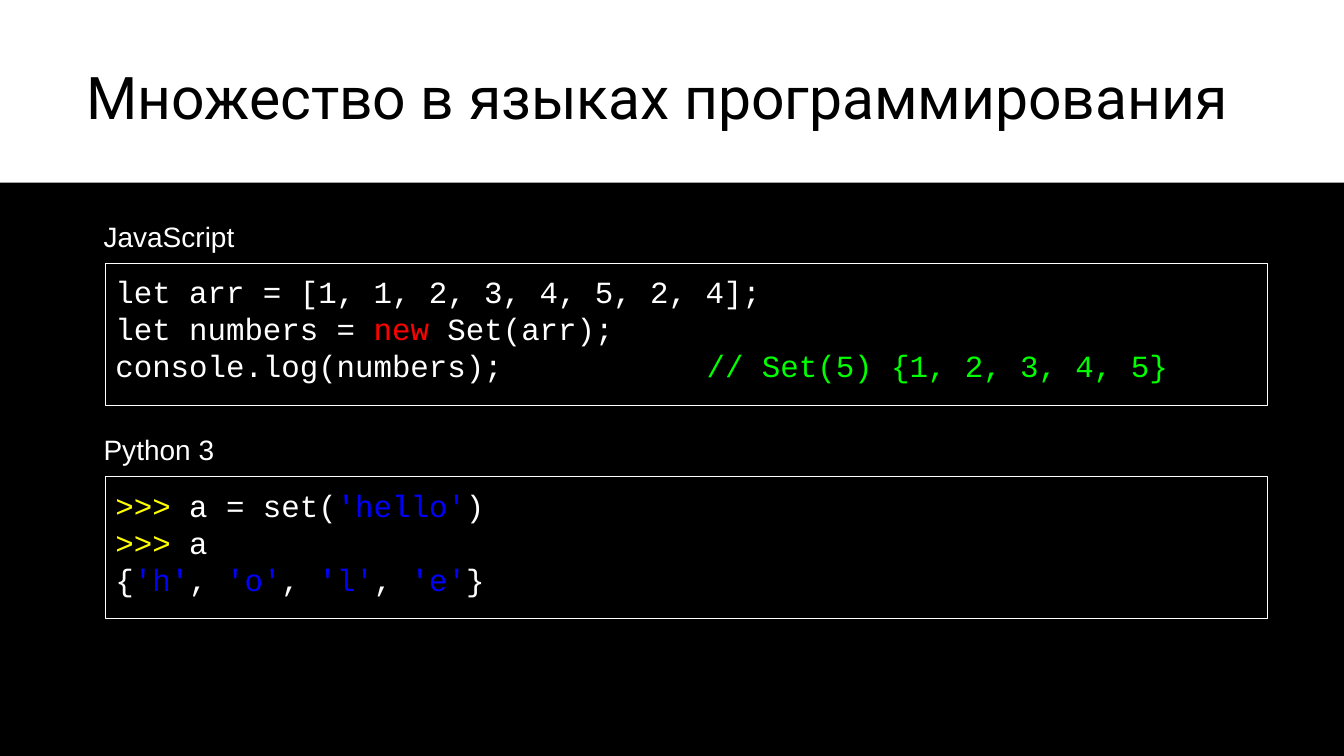
from dataclasses import dataclass
from pptx import Presentation
from pptx.dml.color import RGBColor
from pptx.enum.shapes import MSO_SHAPE
from pptx.enum.text import MSO_ANCHOR, PP_ALIGN
from pptx.oxml import parse_xml
from pptx.oxml.ns import nsdecls
from pptx.util import Cm, Pt

RECT = MSO_SHAPE.RECTANGLE
TOP, BOTTOM = MSO_ANCHOR.TOP, MSO_ANCHOR.BOTTOM
LEFT = PP_ALIGN.LEFT


@dataclass(frozen=True)
class Theme:
    title_font: str = "Roboto"
    label_font: str = "Arial"
    code_font: str = "Courier New"
    title_size: int = 42
    label_size: int = 20
    code_size: int = 22
    black: str = "000000"
    white: str = "FFFFFF"
    keyword: str = "FF0000"
    comment: str = "00FF00"
    prompt: str = "FFFF00"
    string: str = "0000FF"


T = Theme()

# Each line of code is a list of (text, colour) runs
JS_CODE = [
    [("let arr = [1, 1, 2, 3, 4, 5, 2, 4];", T.white)],
    [("let numbers = ", T.white), ("new", T.keyword), (" Set(arr);", T.white)],
    [("console.log(numbers);\t", T.white), ("// Set(5) {1, 2, 3, 4, 5}", T.comment)],
]
PYTHON_CODE = [
    [(">>>", T.prompt), (" a = set(", T.white), ("'hello'", T.string), (")", T.white)],
    [(">>>", T.prompt), (" a", T.white)],
    [("{", T.white), ("'h'", T.string), (", ", T.white), ("'o'", T.string),
     (", ", T.white), ("'l'", T.string), (", ", T.white), ("'e'", T.string),
     ("}", T.white)],
]


def add_text(sp, lines, font, size, inset=0.25, anchor=TOP):
    """Write lines of coloured runs into a shape."""
    tf = sp.text_frame
    tf.word_wrap = True
    tf.vertical_anchor = anchor
    tf.margin_left = tf.margin_right = Cm(0.25)
    tf.margin_top = tf.margin_bottom = Cm(inset)
    for i, runs in enumerate(lines):
        p = tf.add_paragraph() if i else tf.paragraphs[0]
        p.alignment = LEFT
        for text, color in runs:
            r = p.add_run()
            r.text = text
            r.font.name = font
            r.font.size = Pt(size)
            r.font.color.rgb = RGBColor.from_string(color)
    return tf


def add_rect(s, x, y, w, h):
    sp = s.shapes.add_shape(RECT, Cm(x), Cm(y), Cm(w), Cm(h))
    sp.shadow.inherit = False
    return sp


def add_backdrop(s, x, y, w, h):
    """Black area below the title."""
    sp = add_rect(s, x, y, w, h)
    sp.fill.solid()
    sp.fill.fore_color.rgb = RGBColor.from_string(T.black)
    sp.line.fill.background()


def add_title(s, x, y, w, h, text):
    sp = s.shapes.add_textbox(Cm(x), Cm(y), Cm(w), Cm(h))
    tf = add_text(sp, [[(text, T.black)]], T.title_font, T.title_size, 0.13, BOTTOM)
    tf.paragraphs[0].line_spacing = 0.9


def add_listing(s, x, y, w, h, language, code):
    """Language label with a framed code block under it."""
    label_h, frame_dx, frame_dy = 0.91, 0.3, 1.35
    label = s.shapes.add_textbox(Cm(x), Cm(y), Cm(8.6), Cm(label_h))
    add_text(label, [[(language, T.white)]], T.label_font, T.label_size)

    frame = add_rect(s, x + frame_dx, y + frame_dy, w - frame_dx, h - frame_dy)
    frame.fill.background()
    frame.line.color.rgb = RGBColor.from_string(T.white)
    frame.line.width = Pt(0.75)
    tf = add_text(frame, code, T.code_font, T.code_size)

    # Tab stop that lines up trailing comments
    for p in tf.paragraphs:
        if "\t" in p.text:
            p._p.get_or_add_pPr().append(parse_xml(
                f'<a:tabLst {nsdecls("a")}><a:tab pos="{Cm(14.9)}" algn="l"/></a:tabLst>'))


def main():
    prs = Presentation()
    prs.slide_width, prs.slide_height = Cm(33.87), Cm(19.05)
    s = prs.slides.add_slide(prs.slide_layouts[6])

    add_backdrop(s, 0, 4.6, 33.87, 14.45)
    add_title(s, 1.93, 1.27, 30.02, 2.18, "Множество в языках программирования")
    listings = [("JavaScript", JS_CODE), ("Python 3", PYTHON_CODE)]
    for i, (language, code) in enumerate(listings):
        add_listing(s, 2.36, 5.28 + i * 5.38, 29.59, 4.93, language, code)

    prs.save("out.pptx")


if __name__ == "__main__":
    main()
